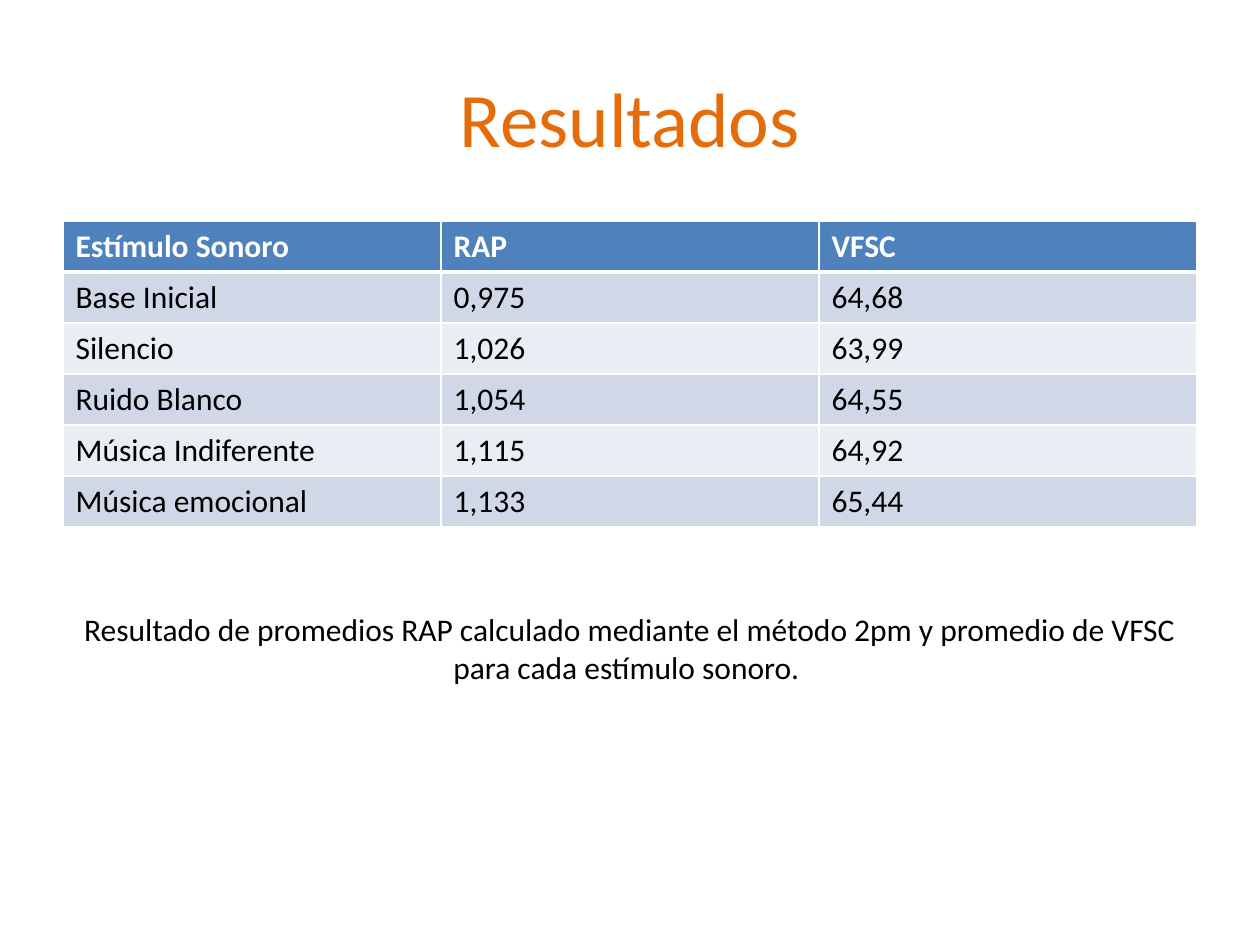
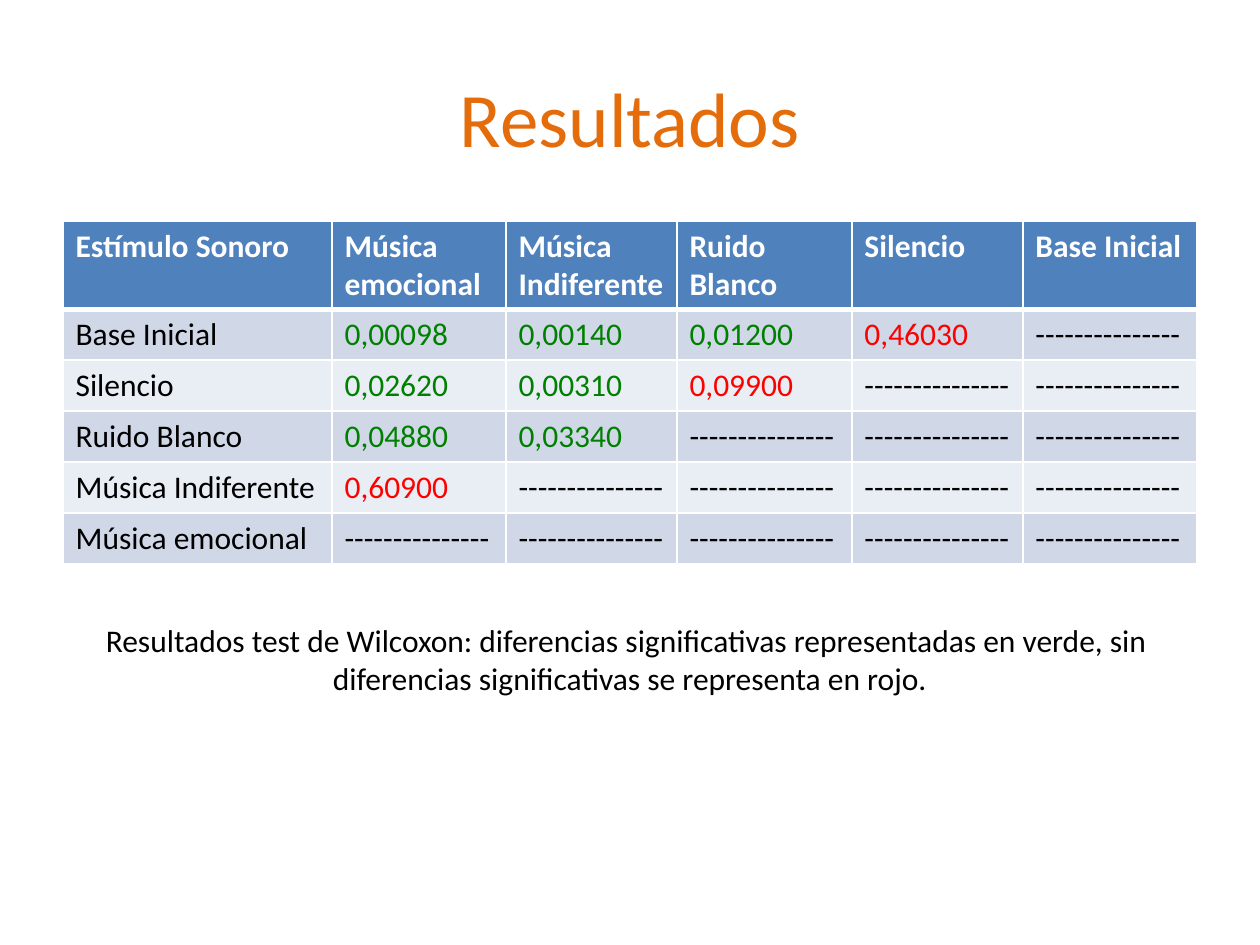
"""Build two result slides, each with a title, a table and a caption."""
from dataclasses import dataclass

from lxml import etree
from pptx import Presentation
from pptx import util as u
from pptx.dml.color import RGBColor
from pptx.enum import text
from pptx.oxml import ns

PX_PER_INCH = 126
LEFT, WIDTH = 63, 1134
TABLE_TOP, ROW_HEIGHT = 221, 51
FONT = "Calibri"
ORANGE, BLUE, WHITE, BLACK = "E46C0A", "4F81BD", "FFFFFF", "000000"
GREEN, RED = "008000", "FF0000"
BANDS = ("D0D8E8", "E9EDF4")
SIGNIFICANCE = 0.05
NO_VALUE = "-" * 15
STIMULI = ("Base Inicial", "Silencio", "Ruido Blanco", "Música Indiferente", "Música emocional")
AVERAGES = (
    ("0,975", "64,68"),
    ("1,026", "63,99"),
    ("1,054", "64,55"),
    ("1,115", "64,92"),
    ("1,133", "65,44"),
)
P_VALUES = (
    ("0,00098", "0,00140", "0,01200", "0,46030"),
    ("0,02620", "0,00310", "0,09900"),
    ("0,04880", "0,03340"),
    ("0,60900",),
    (),
)
TITLE_FORMAT = {"size": u.Pt(44), "bold": False}
BODY_FORMAT = {"size": u.Pt(18), "bold": False}
HEADER_FORMAT = {"size": u.Pt(18), "bold": True}


@dataclass(frozen=True)
class TextBlock:
    lines: tuple[str, ...]
    top: int
    height: int
    color: str
    font: dict
    frame: dict


@dataclass(frozen=True)
class Entry:
    value: str
    color: str = BLACK


@dataclass(frozen=True)
class ResultTable:
    header: tuple[str, ...]
    rows: list[list[Entry]]
    widths: tuple[int, ...]
    header_height: int


@dataclass(frozen=True)
class ResultPage:
    table: ResultTable
    caption: TextBlock


def px(length: int) -> u.Emu:
    """Turn pixels into EMU."""
    return u.Inches(length / PX_PER_INCH)


def rgb(color: str) -> RGBColor:
    """Turn a hex string into a colour."""
    return RGBColor.from_string(color)


def assign(target, values: dict) -> None:
    """Set every attribute named in values."""
    for name, value in values.items():
        setattr(target, name, value)


def write(para, words: str, color: str, font: dict) -> None:
    """Add a formatted run to a paragraph."""
    span = para.add_run()
    span.text = words
    assign(span.font, {"name": FONT, **font})
    span.font.color.rgb = rgb(color)


def draw_text(page, block: TextBlock) -> None:
    """Draw centred lines in a wrapped box of the shared width."""
    box = page.shapes.add_textbox(px(LEFT), px(block.top), px(WIDTH), px(block.height))
    frame = box.text_frame
    assign(frame, {"word_wrap": True, **block.frame})
    for index, line in enumerate(block.lines):
        para = frame.add_paragraph() if index else frame.paragraphs[0]
        para.alignment = text.PP_ALIGN.CENTER
        write(para, line, block.color, block.font)


def set_borders(cell, widths: dict[str, int]) -> None:
    """Give a cell white borders with the widths in points by side."""
    properties = cell._tc.get_or_add_tcPr()
    for index, (side, width) in enumerate(widths.items()):
        line = etree.Element(ns.qn(f"a:ln{side}"), w=str(u.Pt(width)))
        fill = etree.SubElement(line, ns.qn("a:solidFill"))
        etree.SubElement(fill, ns.qn("a:srgbClr"), val=WHITE)
        properties.insert(index, line)


def draw_table(page, spec_table: ResultTable) -> None:
    """Draw a blue header over banded rows."""
    heights = [spec_table.header_height] + [ROW_HEIGHT] * len(spec_table.rows)
    frame = page.shapes.add_table(
        len(heights), len(spec_table.widths), px(LEFT), px(TABLE_TOP), px(WIDTH), px(sum(heights))
    )
    table = frame.table
    for column, width in zip(table.columns, spec_table.widths):
        column.width = px(width)
    header = [Entry(label, WHITE) for label in spec_table.header]
    for row, entries in enumerate([header, *spec_table.rows]):
        table.rows[row].height = px(heights[row])
        for column, entry in enumerate(entries):
            cell = table.cell(row, column)
            cell.fill.solid()
            cell.fill.fore_color.rgb = rgb(BANDS[(row - 1) % 2] if row else BLUE)
            set_borders(cell, {"L": 1, "R": 1, "T": 3 if row == 1 else 1, "B": 1 if row else 3})
            font = BODY_FORMAT if row else HEADER_FORMAT
            write(cell.text_frame.paragraphs[0], entry.value, entry.color, font)


def caption(top: int, *lines: str) -> TextBlock:
    """Describe a caption below a table."""
    return TextBlock(lines, top, 89, BLACK, BODY_FORMAT,
                     {"auto_size": text.MSO_AUTO_SIZE.SHAPE_TO_FIT_TEXT})


def p_value_entry(value: str) -> Entry:
    """Colour a p value by its significance."""
    significant = float(value.replace(",", ".")) < SIGNIFICANCE
    return Entry(value, GREEN if significant else RED)


def average_rows() -> list[list[Entry]]:
    """List each stimulus with its averages."""
    return [[Entry(value) for value in (name, *values)]
            for name, values in zip(STIMULI, AVERAGES)]


def wilcoxon_rows() -> list[list[Entry]]:
    """List each stimulus with its p values, filled up with dashes."""
    return [
        [Entry(name), *map(p_value_entry, values)]
        + [Entry(NO_VALUE)] * (len(STIMULI) - len(values))
        for name, values in zip(STIMULI, P_VALUES)
    ]


TITLE = TextBlock(("Resultados",), 38, 158, ORANGE, TITLE_FORMAT,
                  {"vertical_anchor": text.MSO_ANCHOR.MIDDLE})
PAGES = (
    ResultPage(
        ResultTable(("Estímulo Sonoro", "RAP", "VFSC"), average_rows(),
                    (WIDTH // 3,) * 3, ROW_HEIGHT),
        caption(604, "Resultado de promedios RAP calculado mediante el método 2pm y "
                     "promedio de VFSC para cada estímulo sonoro. "),
    ),
    ResultPage(
        ResultTable(("Estímulo Sonoro", *reversed(STIMULI)), wilcoxon_rows(),
                    (269, 174, 171, 175, 171, 174), 88),
        caption(615, "Resultados test de Wilcoxon: diferencias significativas "
                     "representadas en verde, sin ",
                "diferencias significativas se representa en rojo."),
    ),
)


def main() -> None:
    """Build and save the deck."""
    deck = Presentation()
    assign(deck, {"slide_width": u.Inches(10), "slide_height": u.Inches(7.5)})
    for result in PAGES:
        page = deck.slides.add_slide(deck.slide_layouts[6])
        draw_text(page, TITLE)
        draw_table(page, result.table)
        draw_text(page, result.caption)
    deck.save("out.pptx")


if __name__ == "__main__":
    main()
